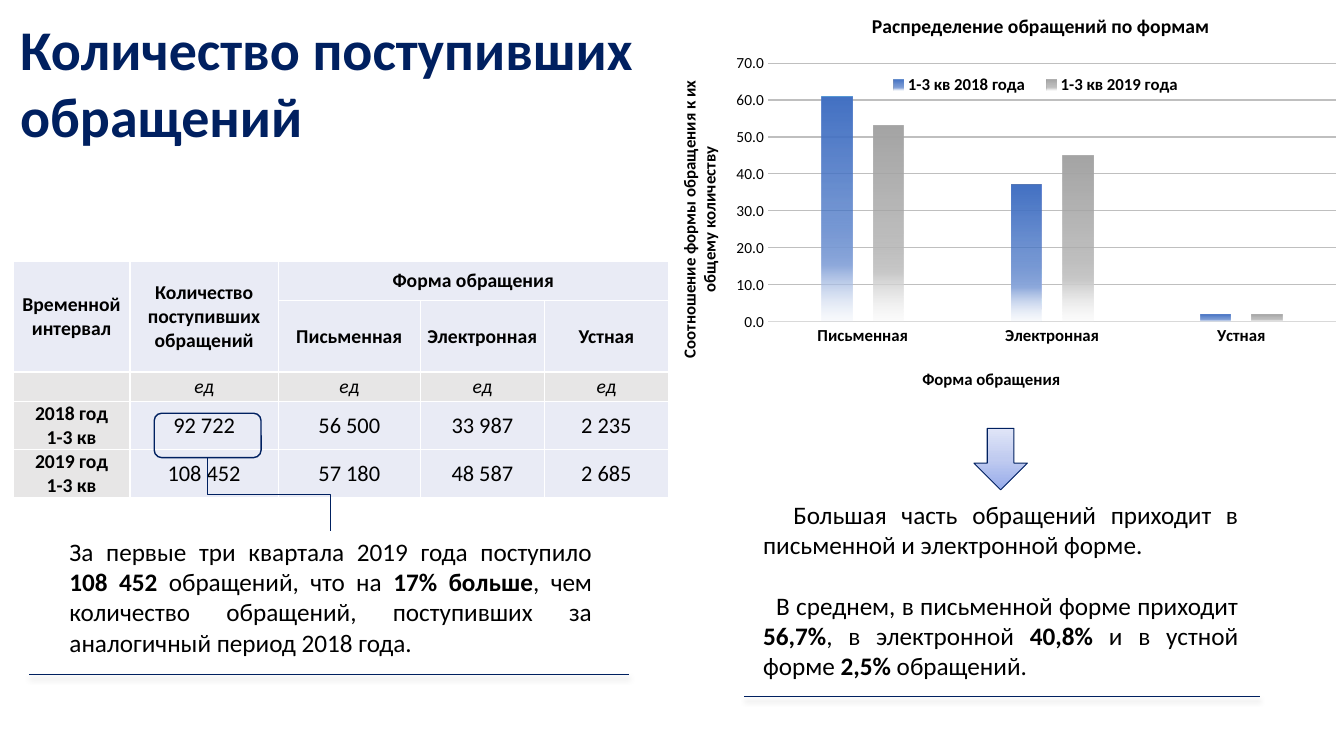
"""Build the slide about the number of received appeals."""
import lxml.etree
import pptx
import pptx.chart.data
import pptx.dml.color
import pptx.enum.chart
import pptx.enum.shapes
import pptx.enum.text
import pptx.oxml.ns
import pptx.util

Inches, Pt = pptx.util.Inches, pptx.util.Pt
RGBColor = pptx.dml.color.RGBColor
MSO_ANCHOR, PP_ALIGN = pptx.enum.text.MSO_ANCHOR, pptx.enum.text.PP_ALIGN
MSO_SHAPE = pptx.enum.shapes.MSO_SHAPE
MSO_CONNECTOR = pptx.enum.shapes.MSO_CONNECTOR
qn = pptx.oxml.ns.qn

NAVY = RGBColor(0x00, 0x20, 0x60)
BLACK = RGBColor(0x00, 0x00, 0x00)
WHITE = RGBColor(0xFF, 0xFF, 0xFF)
CELL_BLUE = RGBColor(0xE9, 0xEB, 0xF5)
CELL_GRAY = RGBColor(0xE7, 0xE6, 0xE6)
GRID_GRAY = RGBColor(0xBF, 0xBF, 0xBF)
AXIS_GRAY = RGBColor(0xD9, 0xD9, 0xD9)
BLUE, BLUE_MIDDLE, BLUE_PALE = (RGBColor.from_string(code) for code in ("4472C4", "8FAADC", "DAE3F3"))
GRAY, GRAY_MIDDLE, GRAY_PALE = (RGBColor.from_string(code) for code in ("A5A5A5", "C9C9C9", "EDEDED"))
ARROW_DARK, ARROW_MIDDLE, ARROW_PALE = (RGBColor.from_string(code) for code in ("96ABEA", "C0CBF0", "E0E5F7"))

CATEGORIES = ["Письменная", "Электронная", "Устная"]
SERIES = [
    ("1-3 кв 2018 года", (61, 37, 2), (BLUE, BLUE_MIDDLE, BLUE_PALE)),
    ("1-3 кв 2019 года", (53, 45, 2), (GRAY, GRAY_MIDDLE, GRAY_PALE)),
]
TABLE_ROWS = [
    ["Временной интервал", "Количество поступивших обращений", "Форма обращения", "", ""],
    ["", ""] + CATEGORIES,
    [""] + ["ед"] * 4,
    ["2018 год\n1-3 кв", "92 722", "56 500", "33 987", "2 235"],
    ["2019 год\n1-3 кв", "108 452", "57 180", "48 587", "2 685"],
]


def apply_format(target, **values):
    """Set attributes of an object from a dict of values."""
    for name, value in values.items():
        setattr(target, name, value)


def format_font(font, size, color=BLACK, bold=False, italic=False):
    """Format a Calibri font."""
    font.color.rgb = color
    apply_format(font, name="Calibri", size=Pt(size), bold=bold, italic=italic)


def add_element(parent, tag, **attributes):
    """Append an XML child with the given attributes."""
    return lxml.etree.SubElement(parent, qn(tag), {key: str(value) for key, value in attributes.items()})


def fill_gradient(target, element, stops, angle):
    """Fill with a linear gradient of (position, colour, opacity) stops."""
    target.fill.solid()
    target.fill.fore_color.rgb = stops[0][1]
    solid = element.find(".//" + qn("a:solidFill"))
    gradient = lxml.etree.Element(qn("a:gradFill"), rotWithShape="1")
    stop_list = add_element(gradient, "a:gsLst")
    for position, color, opacity in stops:
        stop = add_element(stop_list, "a:gs", pos=position * 1000)
        add_element(add_element(stop, "a:srgbClr", val=color), "a:alpha", val=opacity * 1000)
    add_element(gradient, "a:lin", ang=angle * 60000, scaled=0)
    solid.getparent().replace(solid, gradient)


def add_title(slide, left, top, width, height):
    """Place the slide title."""
    title = slide.shapes.title
    apply_format(title, left=Inches(left), top=Inches(top), width=Inches(width), height=Inches(height))
    title.text_frame.text = "Количество поступивших обращений"
    apply_format(title.text_frame, word_wrap=True, vertical_anchor=MSO_ANCHOR.TOP,
                 auto_size=pptx.enum.text.MSO_AUTO_SIZE.SHAPE_TO_FIT_TEXT)
    paragraph = title.text_frame.paragraphs[0]
    paragraph.alignment = PP_ALIGN.LEFT
    format_font(paragraph.runs[0].font, 40, NAVY, bold=True)


def add_text(slide, left, top, width, height, texts, size=18, indents=(0,), gap=0):
    """Add justified paragraphs, with bold parts between asterisks."""
    box = slide.shapes.add_textbox(Inches(left), Inches(top), Inches(width), Inches(height))
    frame = box.text_frame
    apply_format(frame, word_wrap=True, auto_size=pptx.enum.text.MSO_AUTO_SIZE.SHAPE_TO_FIT_TEXT)
    for index, (text, indent) in enumerate(zip(texts, indents)):
        paragraph = frame.add_paragraph() if index else frame.paragraphs[0]
        apply_format(paragraph, alignment=PP_ALIGN.JUSTIFY, space_before=Pt(gap if index else 0))
        paragraph._p.get_or_add_pPr().set("indent", str(Inches(indent)))
        for part_index, part in enumerate(text.split("*")):
            if part:
                run = paragraph.add_run()
                run.text = part
                format_font(run.font, size, bold=part_index % 2 == 1)
    return box


def add_line(slide, left, top, width):
    """Add a thin horizontal rule with a soft shadow."""
    line = slide.shapes.add_connector(MSO_CONNECTOR.STRAIGHT, Inches(left), Inches(top),
                                      Inches(left + width), Inches(top))
    line.line.color.rgb = NAVY
    line.line.width = Pt(0.5)
    effects = add_element(line._element.spPr, "a:effectLst")
    shadow = add_element(effects, "a:outerShdw", blurRad=Pt(4), dist=Pt(3), dir=90 * 60000,
                         algn="t", rotWithShape=0)
    add_element(add_element(shadow, "a:srgbClr", val=BLACK), "a:alpha", val=40000)


def format_cell(cell, text, size, bold, italic, color):
    """Write and format one table cell with white borders."""
    cell.text = text
    apply_format(cell, vertical_anchor=MSO_ANCHOR.MIDDLE, margin_left=Inches(0.01),
                 margin_right=Inches(0.01), margin_top=Inches(0.01), margin_bottom=0)
    cell.fill.solid()
    cell.fill.fore_color.rgb = color
    for paragraph in cell.text_frame.paragraphs:
        paragraph.alignment = PP_ALIGN.CENTER
        for run in paragraph.runs:
            format_font(run.font, size, bold=bold, italic=italic)
        if not paragraph.runs:
            add_element(paragraph._p, "a:endParaRPr", sz=size * 100)
    properties = cell._tc.get_or_add_tcPr()
    for index, side in enumerate(("a:lnL", "a:lnR", "a:lnT", "a:lnB")):
        border = add_element(properties, side, w=Pt(1))
        add_element(add_element(border, "a:solidFill"), "a:srgbClr", val=WHITE)
        properties.insert(index, border)


def add_appeals_table(slide, left, top, width, height):
    """Add the table of appeals by form and period."""
    table = slide.shapes.add_table(5, 5, Inches(left), Inches(top), Inches(width), Inches(height)).table
    apply_format(table, first_row=False, horz_banding=False)
    for column, column_width in zip(table.columns, (1.16, 1.47, 1.41, 1.23, 1.23)):
        column.width = Inches(column_width)
    for row, row_height in zip(table.rows, (0.39, 0.31, 0.29, 0.31, 0.31)):
        row.height = Inches(row_height)
    for row_index, row in enumerate(TABLE_ROWS):
        for column_index, text in enumerate(row):
            is_number = row_index > 2 and column_index > 0
            is_unit = row_index == 2
            is_gray = is_unit or (row_index > 2 and column_index == 0)
            format_cell(table.cell(row_index, column_index), text, 16 if is_number else 14,
                        not (is_number or is_unit), is_unit, CELL_GRAY if is_gray else CELL_BLUE)
    for first, last in (((0, 0), (1, 0)), ((0, 1), (1, 1)), ((0, 2), (0, 4))):
        table.cell(*first).merge(table.cell(*last))


def add_callout(slide, left, top, width, height, note):
    """Outline a table value and join it to its note by an elbow."""
    frame = slide.shapes.add_shape(MSO_SHAPE.ROUNDED_RECTANGLE, Inches(left), Inches(top),
                                   Inches(width), Inches(height))
    frame.shadow.inherit = False
    frame.fill.background()
    elbow = slide.shapes.add_connector(MSO_CONNECTOR.ELBOW, 0, 0, 0, 0)
    elbow.begin_connect(frame, 2)
    elbow.end_connect(note, 0)
    across, down = elbow.width, elbow.height
    center_x, center_y = elbow.left + across // 2, elbow.top + down // 2
    apply_format(elbow, left=center_x - down // 2, top=center_y - across // 2, width=down, height=across)
    transform = elbow._element.spPr.find(qn("a:xfrm"))
    transform.set("rot", str(270 * 60000))
    transform.set("flipH", "1")
    add_element(elbow._element.spPr, "a:effectLst")
    for shape in (frame, elbow):
        shape.line.color.rgb = NAVY
        shape.line.width = Pt(1)


def set_layout(element, **values):
    """Give a chart part a manual layout."""
    layout = element.find(qn("c:layout"))
    if layout is None:
        layout = lxml.etree.Element(qn("c:layout"))
        overlay = element.find(qn("c:overlay"))
        element.insert(0 if overlay is None else element.index(overlay), layout)
    manual = add_element(layout, "c:manualLayout")
    for name, value in values.items():
        add_element(manual, "c:" + name, val=value)


def add_forms_chart(slide, left, top, width, height):
    """Add the column chart of appeals by form."""
    data = pptx.chart.data.CategoryChartData(number_format="0.0")
    data.categories = CATEGORIES
    for name, values, _ in SERIES:
        data.add_series(name, values)
    chart = slide.shapes.add_chart(pptx.enum.chart.XL_CHART_TYPE.COLUMN_CLUSTERED, Inches(left),
                                   Inches(top), Inches(width), Inches(height), data).chart
    format_font(chart.font, 10)
    apply_format(chart, has_title=False, has_legend=True)
    chart.legend.position = pptx.enum.chart.XL_LEGEND_POSITION.BOTTOM
    chart.legend.include_in_layout = False
    format_font(chart.legend.font, 12, bold=True)
    set_layout(chart.legend._element, xMode="edge", yMode="edge", x=0.32, y=0.08, w=0.46, h=0.07)
    set_layout(chart._chartSpace.chart.plotArea, layoutTarget="inner", xMode="edge", yMode="edge",
               x=0.16, y=0.056, w=0.827, h=0.698)
    plot = chart.plots[0]
    apply_format(plot, gap_width=355, overlap=-70, vary_by_categories=False)
    for series, (_, _, (dark, middle, pale)) in zip(plot.series, SERIES):
        stops = [(0, dark, 100), (51, dark, 75), (75, middle, 100), (100, pale, 15)]
        fill_gradient(series.format, series._element, stops, 90)
    category_axis, value_axis = chart.category_axis, chart.value_axis
    axes = ((category_axis, "Форма обращения", 12, True, 0.38, 0.87),
            (value_axis, "Соотношение формы обращения к их общему количеству", 11, False, 0.024, 0.095))
    for axis, text, size, bold, x, y in axes:
        axis.major_tick_mark = pptx.enum.chart.XL_TICK_MARK.NONE
        format_font(axis.tick_labels.font, size, bold=bold)
        title = axis.axis_title
        title.text_frame.text = text
        format_font(title.text_frame.paragraphs[0].runs[0].font, 12, bold=True)
        set_layout(title._element, xMode="edge", yMode="edge", x=x, y=y)
    apply_format(value_axis, minimum_scale=0, maximum_scale=70, major_unit=10)
    apply_format(value_axis.tick_labels, number_format="0.0", number_format_is_linked=False)
    value_axis.format.line.fill.background()
    for line, color in ((category_axis.format.line, AXIS_GRAY), (value_axis.major_gridlines.format.line, GRID_GRAY)):
        line.color.rgb = color
        line.width = Pt(0.75)


def add_arrow(slide, left, top, width, height):
    """Add the gradient arrow under the chart."""
    arrow = slide.shapes.add_shape(MSO_SHAPE.DOWN_ARROW, Inches(left), Inches(top), Inches(width), Inches(height))
    arrow.shadow.inherit = False
    stops = [(0, ARROW_DARK, 100), (50, ARROW_MIDDLE, 100), (100, ARROW_PALE, 100)]
    fill_gradient(arrow, arrow._element.spPr, stops, 270)
    arrow.line.color.rgb = NAVY
    arrow.line.width = Pt(0.75)


def main():
    """Assemble and save the slide."""
    presentation = pptx.Presentation()
    apply_format(presentation, slide_width=Inches(13.33), slide_height=Inches(7.5))
    slide = presentation.slides.add_slide(presentation.slide_layouts[5])
    add_title(slide, 0.1, 0.09, 6.59, 1.45)
    note = add_text(slide, 0.59, 5.27, 5.38, 1.31, [
        "За первые три квартала 2019 года поступило *108 452 *обращений, что на *17% больше*, "
        "чем количество обращений, поступивших за аналогичный период 2018 года."])
    add_line(slide, 0.29, 6.69, 5.95)
    add_text(slide, 7.47, 4.9, 4.91, 1.92, [
        "Большая часть обращений приходит в письменной и электронной форме.",
        "В среднем, в письменной форме приходит *56,7%*, в электронной *40,8%* "
        "и в устной форме *2,5%* обращений."], indents=(0.3, 0.13), gap=22)
    add_text(slide, 8.55, 0.09, 3.55, 0.34, ["*Распределение обращений по формам*"], size=14)
    add_appeals_table(slide, 0.13, 2.59, 6.5, 1.61)
    add_callout(slide, 1.53, 4.1, 1.06, 0.44, note)
    add_forms_chart(slide, 6.53, 0.42, 6.81, 3.68)
    add_line(slide, 7.38, 6.91, 5.12)
    add_arrow(slide, 9.66, 4.25, 0.53, 0.61)
    presentation.save("out.pptx")


if __name__ == "__main__":
    main()
